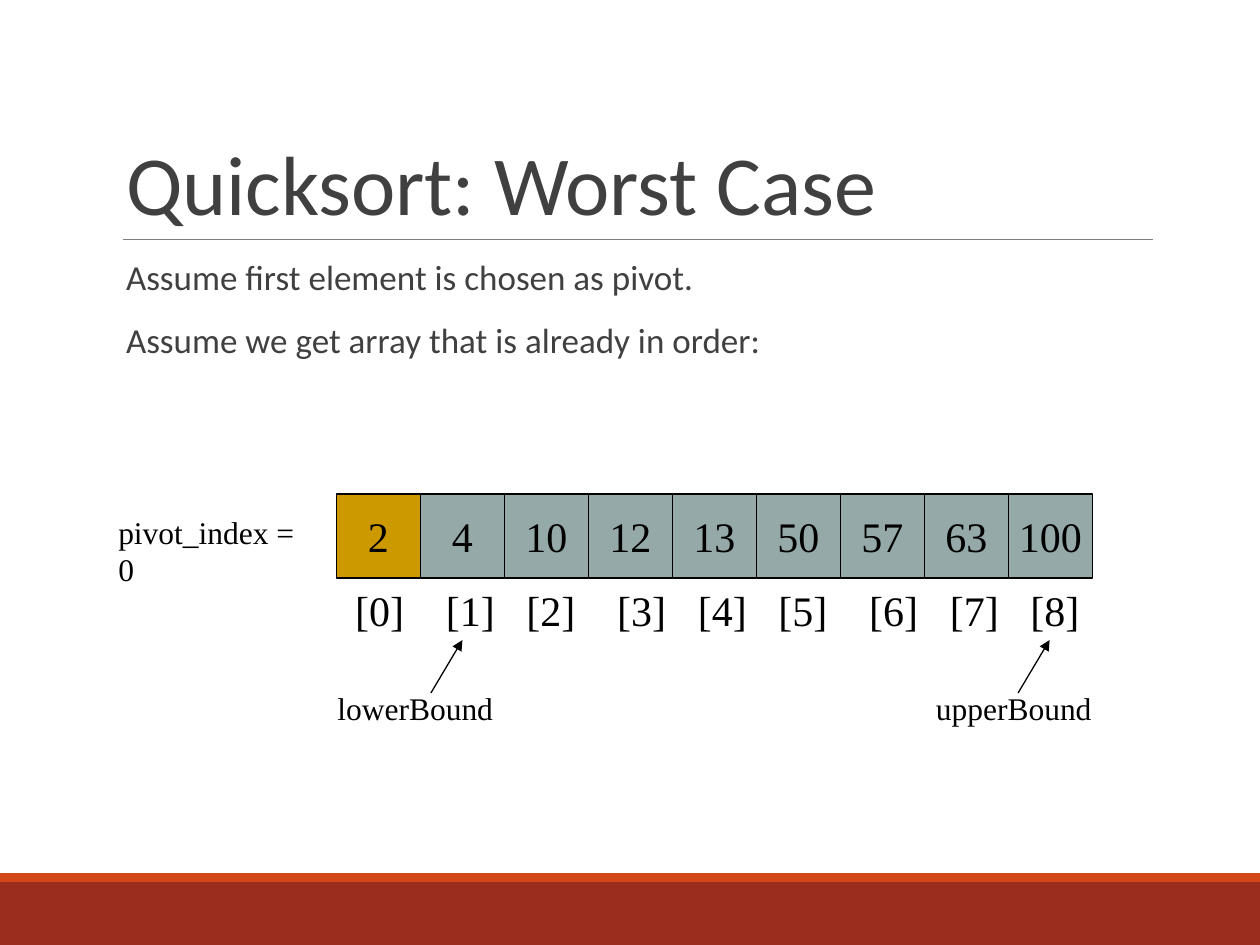
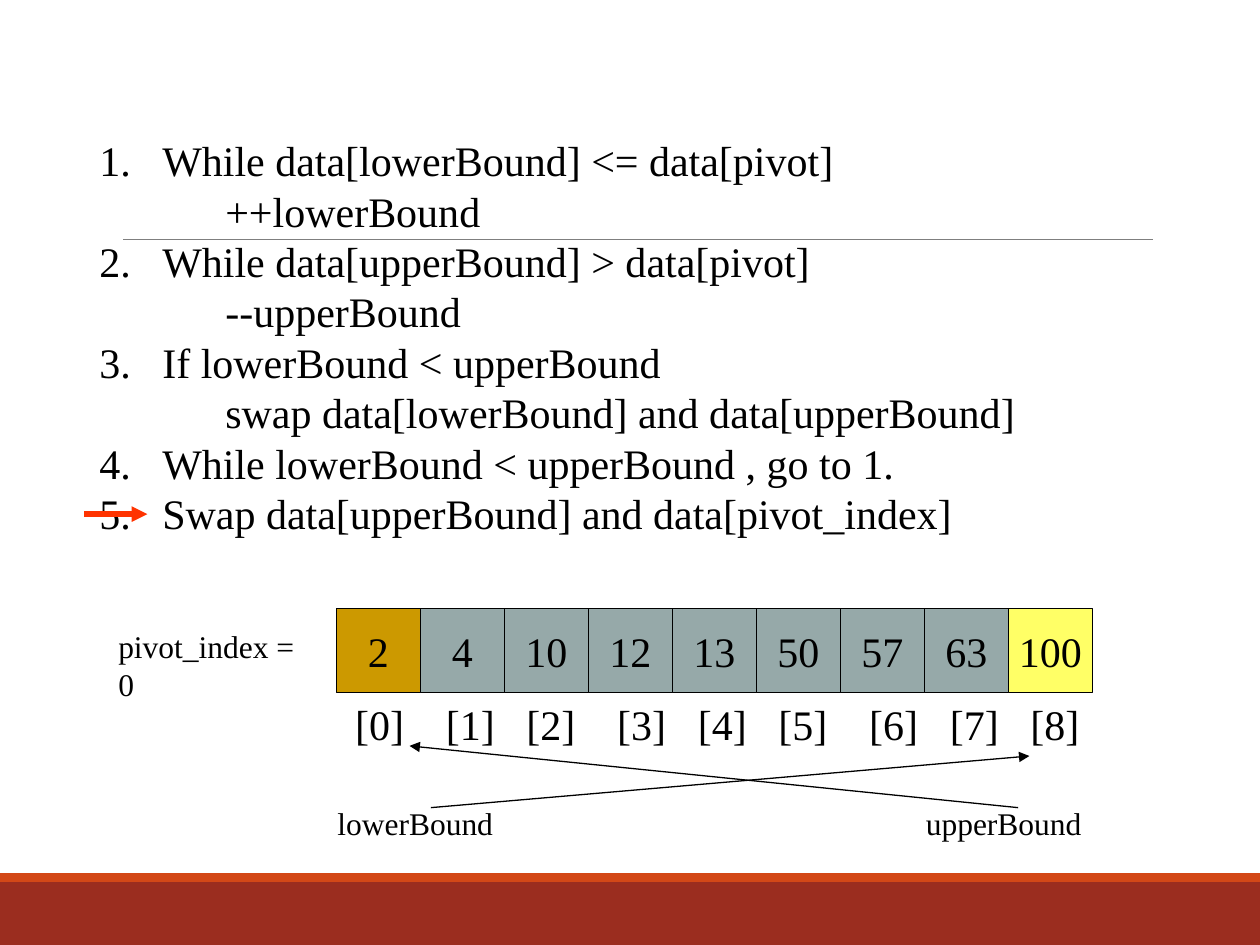
from lxml import etree
from pptx import Presentation
from pptx.dml.color import RGBColor
from pptx.enum import shapes, text
from pptx.oxml import ns
from pptx.util import Inches, Pt

VALUES = (2, 4, 10, 12, 13, 50, 57, 63, 100)
CELL = 2 / 3
ARRAY_LEFT = 2.67
WIDE, NARROW = 0.72, 0.64
INDEX_STEPS = (WIDE, NARROW) + (WIDE, NARROW, NARROW) * 2

BRICK, ORANGE, RULE_GRAY = "9B2D1F", "D34817", "7F7F7F"
INK, BLACK, RED = "404040", "000000", "FF3300"
GOLD, SAGE, YELLOW = "CC9900", "96A9A9", "FFFF66"
SANS, SERIF = "Calibri", "Times New Roman"

STEPS = (
    ("While data[lowerBound] <= data[pivot]", "++lowerBound"),
    ("While data[upperBound] > data[pivot]", "--upperBound"),
    ("If lowerBound < upperBound", "swap data[lowerBound] and data[upperBound]"),
    ("While lowerBound < upperBound , go to 1.", None),
    ("Swap data[upperBound] and data[pivot_index]", None),
)


def color(value):
    return RGBColor.from_string(value)


def child(parent, tag, **attributes):
    return etree.SubElement(parent, ns.qn(tag), **attributes)


class Deck:
    """Holds the shared style and the slide being drawn."""

    def __init__(self):
        self.deck = Presentation()
        self.deck.slide_width, self.deck.slide_height = Inches(10), Inches(7.5)
        self.page = None

    def new_page(self, title=None):
        layout = self.deck.slide_layouts[5 if title else 6]
        self.page = self.deck.slides.add_slide(layout)
        if title:
            self.title(title)

    def master_frame(self):
        """Draw the bands and the rule, then move them to the master."""
        frame = [
            self.rectangle(0, 7, 10, 0.5, BRICK),
            self.rectangle(0, 6.93, 10, 0.07, ORANGE),
            self.line((0.98, 1.9), (9.15, 1.9), RULE_GRAY, 0.5),
        ]
        for number, shape in enumerate(frame, 101):
            shape.element.xpath(".//p:cNvPr")[0].set("id", str(number))
            self.deck.slide_master.shapes.element.append(shape.element)

    def span(self, para, words, size, font=SERIF, ink=BLACK):
        span = para.add_run()
        span.text = words
        span.font.size, span.font.name = Pt(size), font
        span.font.color.rgb = color(ink)

    def title(self, words):
        box = self.page.shapes.title
        box.left, box.top = Inches(0.9), Inches(0.31)
        box.width, box.height = Inches(8.25), Inches(1.59)
        frame = box.text_frame
        frame.auto_size = text.MSO_AUTO_SIZE.NONE
        frame.vertical_anchor = text.MSO_ANCHOR.BOTTOM
        para = frame.paragraphs[0]
        para.alignment, para.line_spacing = text.PP_ALIGN.LEFT, 0.85
        self.span(para, words, 48, SANS, INK)

    def text_box(self, left, top, width, height, wrap=True):
        box = self.page.shapes.add_textbox(
            Inches(left), Inches(top), Inches(width), Inches(height))
        box.text_frame.word_wrap = wrap
        return box.text_frame

    def label(self, words, left, top, width, wrap=True):
        frame = self.text_box(left, top, width, 0.4, wrap)
        self.span(frame.paragraphs[0], words, 18)

    def body(self, lines):
        frame = self.text_box(0.9, 2.02, 8.25, 4.4)
        frame.margin_left = frame.margin_right = 0
        for number, words in enumerate(lines):
            para = frame.add_paragraph() if number else frame.paragraphs[0]
            para.line_spacing, para.space_after = 0.9, Pt(2)
            para.space_before = Pt(12 if number else 0)
            para._p.get_or_add_pPr().set("marL", str(Inches(0.1)))
            self.span(para, words, 20, SANS, INK)

    def numbered_steps(self, steps):
        frame = self.text_box(0.69, 1.02, 8.46, 4.5)
        para = frame.paragraphs[0]
        for number, (step, action) in enumerate(steps):
            if number:
                para = frame.add_paragraph()
            properties = para._p.get_or_add_pPr()
            properties.set("marL", str(Inches(0.5)))
            properties.set("indent", str(-Inches(0.5)))
            child(properties, "a:buFont", typeface=SERIF)
            child(properties, "a:buAutoNum", type="arabicPeriod")
            self.span(para, step, 24)
            if action:
                para = frame.add_paragraph()
                para.level = 1
                para._p.get_or_add_pPr().set("marL", str(Inches(1)))
                self.span(para, action, 24)

    def rectangle(self, left, top, width, height, fill, border=None):
        box = self.page.shapes.add_shape(
            shapes.MSO_SHAPE.RECTANGLE, Inches(left), Inches(top),
            Inches(width), Inches(height))
        box.shadow.inherit = False
        box.fill.solid()
        box.fill.fore_color.rgb = color(fill)
        if border:
            box.line.color.rgb, box.line.width = color(border), Pt(0.75)
        else:
            box.line.fill.background()
        return box

    def line(self, start, end, ink=BLACK, weight=0.75, arrow=False):
        points = [Inches(value) for value in (*start, *end)]
        line = self.page.shapes.add_connector(
            shapes.MSO_CONNECTOR.STRAIGHT, *points)
        line.line.color.rgb, line.line.width = color(ink), Pt(weight)
        if arrow:
            child(line.line._get_or_add_ln(), "a:tailEnd", type="triangle")
        child(line.element.spPr, "a:effectLst")
        return line

    def index_row(self, top):
        para = self.text_box(2.72, top, 5.95, 0.5).paragraphs[0]
        stops = child(para._p.get_or_add_pPr(), "a:tabLst")
        position = 0
        for step in INDEX_STEPS:
            position += step
            child(stops, "a:tab", pos=str(Inches(position)), algn="l")
        indexes = [f"[{index}]" for index in range(len(VALUES))]
        self.span(para, "\t".join(indexes), 24)

    def array(self, top, lower_target, upper_target, upper_left, fills):
        # Cells, with their indexes below
        for index, value in enumerate(VALUES):
            cell = self.rectangle(ARRAY_LEFT + index * CELL, top, CELL, CELL,
                                  fills.get(index, SAGE), BLACK)
            frame = cell.text_frame
            frame.word_wrap = False
            frame.vertical_anchor = text.MSO_ANCHOR.MIDDLE
            para = frame.paragraphs[0]
            para.alignment = text.PP_ALIGN.CENTER
            self.span(para, str(value), 24)
        self.index_row(top + CELL)

        # Pivot and bounds
        self.label("pivot_index = 0", 0.84, top + 0.1, 1.78, wrap=False)
        self.label("lowerBound", 2.58, top + 1.5, 3.17)
        self.label("upperBound", upper_left, top + 1.5, 2.33)
        self.line((3.42, top + 1.58), lower_target, arrow=True)
        self.line((8.08, top + 1.58), upper_target, arrow=True)


def main():
    slides = Deck()

    # Worst case: array already in order
    slides.new_page("Quicksort: Worst Case")
    slides.master_frame()
    slides.body(("Assume first element is chosen as pivot.",
                 "Assume we get array that is already in order:"))
    slides.array(3.92, lower_target=(3.67, 5.08), upper_target=(8.33, 5.08),
                 upper_left=7.33, fills={0: GOLD})

    # Partition steps, the last one marked
    slides.new_page()
    slides.numbered_steps(STEPS)
    slides.line((0.67, 4.08), (1.17, 4.08), RED, 3, arrow=True)
    slides.array(4.83, lower_target=(8.17, 6), upper_target=(3.25, 5.92),
                 upper_left=7.25, fills={0: GOLD, 8: YELLOW})

    slides.deck.save("out.pptx")


if __name__ == "__main__":
    main()
